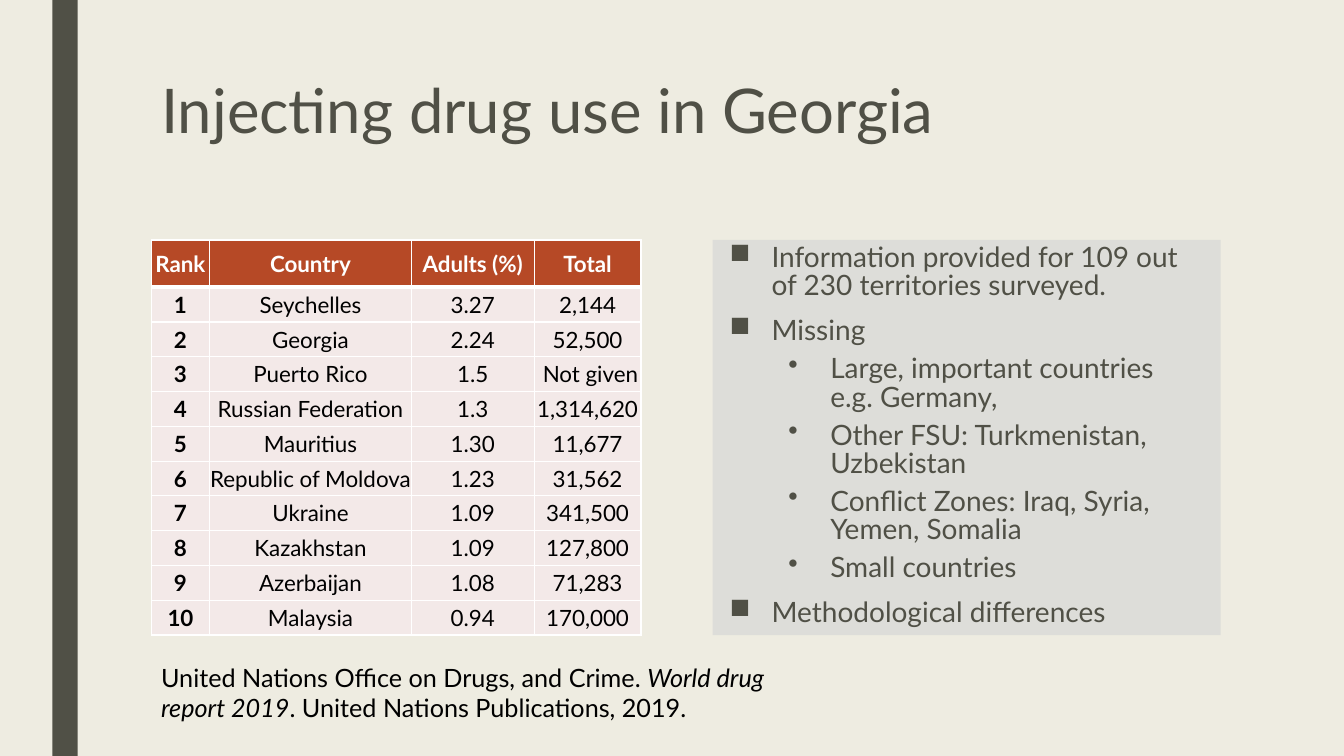
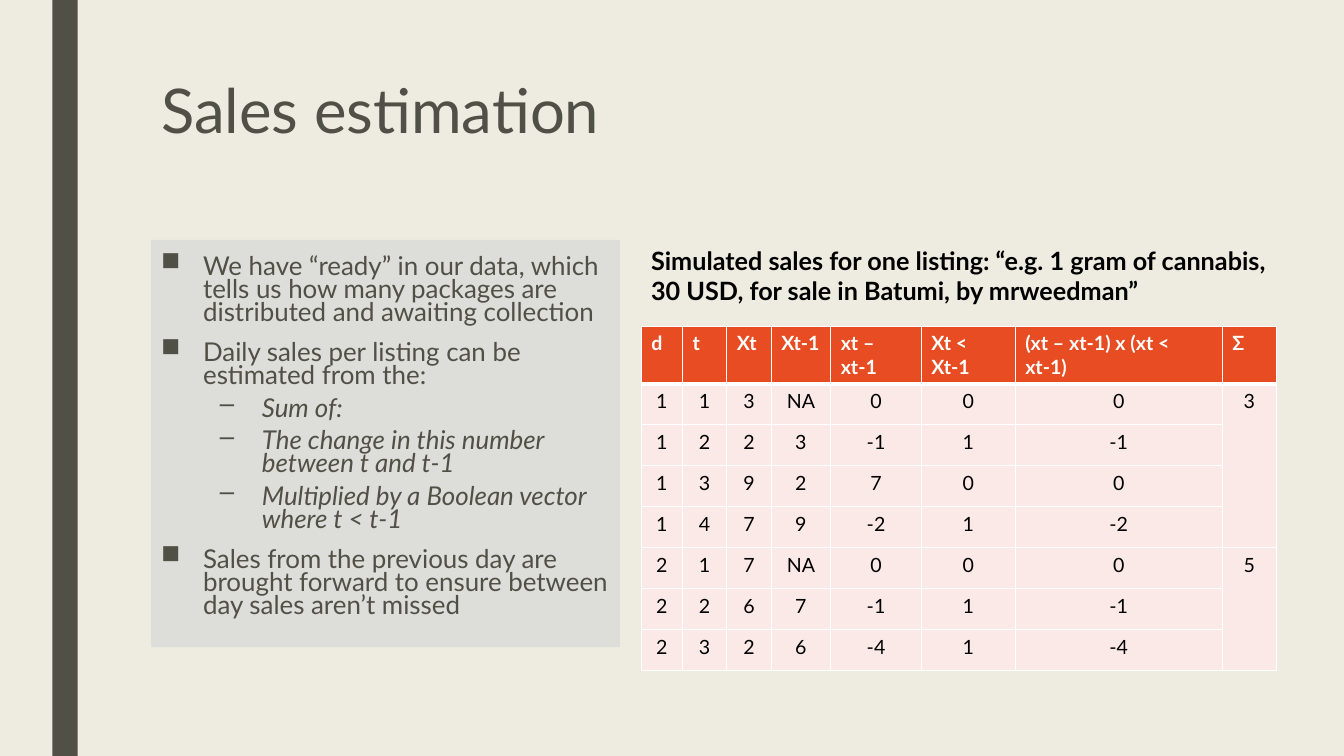
from lxml.etree import SubElement as Sub
from pptx import Presentation
from pptx.dml.color import RGBColor as Rgb
from pptx.enum.shapes import MSO_SHAPE as Shape
from pptx.enum.text import MSO_ANCHOR as Anchor, PP_ALIGN as Align
from pptx.oxml.ns import qn
from pptx.util import Pt

HUES = {"page": "EEECE1", "dark": "505046", "panel": "DDDDD9", "line": "FFFFFF",
        "text": "000000", "rust": "B64926", "blush": "F3E9E8",
        "flame": "E84C22", "rose": "FBE9E8"}
HUES = {name: Rgb.from_string(code) for name, code in HUES.items()}
LEFT, TOP = 108, 171.4

RANKS = [
    ["Rank", "Country", "Adults (%)", "Total"],
    ["1", "Seychelles", "3.27", "2,144"],
    ["2", "Georgia", "2.24", "52,500"],
    ["3", "Puerto Rico", "1.5", " Not given"],
    ["4", "Russian Federation", "1.3", "1,314,620"],
    ["5", "Mauritius", "1.30", "11,677"],
    ["6", "Republic of Moldova", "1.23", "31,562"],
    ["7", "Ukraine", "1.09", "341,500"],
    ["8", "Kazakhstan", "1.09", "127,800"],
    ["9", "Azerbaijan", "1.08", "71,283"],
    ["10", "Malaysia", "0.94", "170,000"],
]
SALES = [
    ["d", "t", "Xt", "Xt-1", "xt – xt-1", "Xt < Xt-1", "(xt – xt-1) x (xt < xt-1)", "Σ"],
    ["1", "1", "3", "NA", "0", "0", "0", "3"],
    ["1", "2", "2", "3", "-1", "1", "-1", ""],
    ["1", "3", "9", "2", "7", "0", "0", ""],
    ["1", "4", "7", "9", "-2", "1", "-2", ""],
    ["2", "1", "7", "NA", "0", "0", "0", "5"],
    ["2", "2", "6", "7", "-1", "1", "-1", ""],
    ["2", "3", "2", "6", "-4", "1", "-4", ""],
]
PAGES = [
    {
        "title": "Injecting drug use in Georgia",
        "panel": (509, TOP, 362.9, 282.2),
        "body": (514, TOP, 350, 282.2),
        "size": 20, "lead": 0.84, "mark": "•", "slant": False,
        "items": [
            (0, "Information provided for 109 out of 230 territories surveyed."),
            (0, "Missing"),
            (1, "Large, important countries e.g. Germany,"),
            (1, "Other FSU: Turkmenistan, Uzbekistan"),
            (1, "Conflict Zones: Iraq, Syria, Yemen, Somalia"),
            (1, "Small countries"),
            (0, "Methodological differences"),
        ],
        "rows": RANKS, "spot": (LEFT, TOP), "cols": [41.8, 144, 87.8, 76.3],
        "head": 33.8, "row": 24.84, "cell": 16, "fills": ("rust", "blush"),
        "tight": True, "spans": [],
        "note": (LEFT, 469.4, 452, 51), "bold": False,
        "runs": [("United Nations Office on Drugs, and Crime. ", False),
                 ("World drug report 2019", True),
                 (". United Nations Publications, 2019.", False)],
    },
    {
        "title": "Sales estimation",
        "panel": (LEFT, TOP, 334.8, 290.9),
        "body": (LEFT, 180, 350, 282.2),
        "size": 18.5, "lead": 0.74, "mark": "–", "slant": True,
        "items": [
            (0, "We have “ready” in our data, which tells us how many packages "
                "are distributed and awaiting collection"),
            (0, "Daily sales per listing can be estimated from the:"),
            (1, "Sum of:"),
            (1, "The change in this number between t and t-1"),
            (1, "Multiplied by a Boolean vector where t < t-1"),
            (0, "Sales from the previous day are brought forward to ensure "
                "between day sales aren’t missed"),
        ],
        "rows": SALES, "spot": (458, 233.3),
        "cols": [29.5, 31.7, 31.7, 42.5, 64.8, 67, 148, 38.4],
        "head": 40.8, "row": 29.3, "cell": 14, "fills": ("flame", "rose"),
        "tight": False, "spans": [(1, 4), (5, 7)],
        "note": (458, TOP, 453.6, 51), "bold": True,
        "runs": [("Simulated sales for one listing: “e.g. 1 gram of cannabis, "
                  "30 USD, for sale in Batumi, by mrweedman”", False)],
    },
]


def frame(slide, area):
    text = slide.shapes.add_textbox(*map(Pt, area)).text_frame
    text.word_wrap = True
    return text


def style(par, size, hue, bold=False, slant=False):
    font = par.font
    font.name, font.size = "Lato", Pt(size)
    font.bold, font.italic = bold, slant
    font.color.rgb = HUES[hue]


deck = Presentation()
deck.slide_width, deck.slide_height = Pt(960), Pt(540)
back = deck.slide_master.background.fill
back.solid()
back.fore_color.rgb = HUES["page"]

for page in PAGES:
    slide = deck.slides.add_slide(deck.slide_layouts[6])
    for area, hue in [((37.4, 0, 18, 540), "dark"), (page["panel"], "panel")]:
        block = slide.shapes.add_shape(Shape.RECTANGLE, *map(Pt, area))
        block.shadow.inherit = False
        block.fill.solid()
        block.fill.fore_color.rgb = HUES[hue]
        block.line.fill.background()

    par = frame(slide, (LEFT, 54, 756, 116.6)).paragraphs[0]
    par.text, par.line_spacing = page["title"], 0.89
    style(par, 44, "dark")

    body = frame(slide, page["body"])
    for n, (level, line) in enumerate(page["items"]):
        par = body.add_paragraph() if n else body.paragraphs[0]
        par.text, par.level, par.line_spacing = line, level, page["lead"]
        par.space_before = Pt((10, 5)[level] if n else 0)
        par.space_after = Pt(2)
        props = par._p.get_or_add_pPr()
        props.set("marL", str(Pt((30, 72)[level])))
        props.set("indent", str(Pt(-30)))
        Sub(props, qn("a:buChar")).set("char", ("■", page["mark"])[level])
        style(par, page["size"], "dark", slant=page["slant"] and level == 1)

    rows, cols = page["rows"], page["cols"]
    high = page["head"] + page["row"] * (len(rows) - 1)
    grid = slide.shapes.add_table(len(rows), len(cols), *map(Pt, (*page["spot"], sum(cols), high))).table
    for col, wide in zip(grid.columns, cols):
        col.width = Pt(wide)
    for r, row in enumerate(rows):
        grid.rows[r].height = Pt(page["row"] if r else page["head"])
        for c, word in enumerate(row):
            cell = grid.cell(r, c)
            if page["tight"]:
                cell.margin_left = cell.margin_right = 0
                cell.margin_top = cell.margin_bottom = 0
                cell.vertical_anchor = Anchor.MIDDLE
            props = cell._tc.get_or_add_tcPr()
            for side in "LRTB":
                thick = (r, side) in [(0, "B"), (1, "T")]
                edge = Sub(props, qn("a:ln" + side), w=str(Pt(3 if thick else 1)))
                Sub(Sub(edge, qn("a:solidFill")), qn("a:srgbClr"), val=str(HUES["line"]))
            cell.fill.solid()
            cell.fill.fore_color.rgb = HUES[page["fills"][r > 0]]
            par = cell.text_frame.paragraphs[0]
            par.text = word
            par.alignment = Align.CENTER if r or page["tight"] else Align.LEFT
            style(par, page["cell"], "text" if r else "line",
                  bold=r == 0 or (page["tight"] and c == 0))
    for first, last in page["spans"]:
        grid.cell(first, len(cols) - 1).merge(grid.cell(last, len(cols) - 1))

    par = frame(slide, page["note"]).paragraphs[0]
    style(par, 18, "text", bold=page["bold"])
    for words, slant in page["runs"]:
        run = par.add_run()
        run.text = words
        if slant:
            run.font.italic = True

deck.save("out.pptx")
